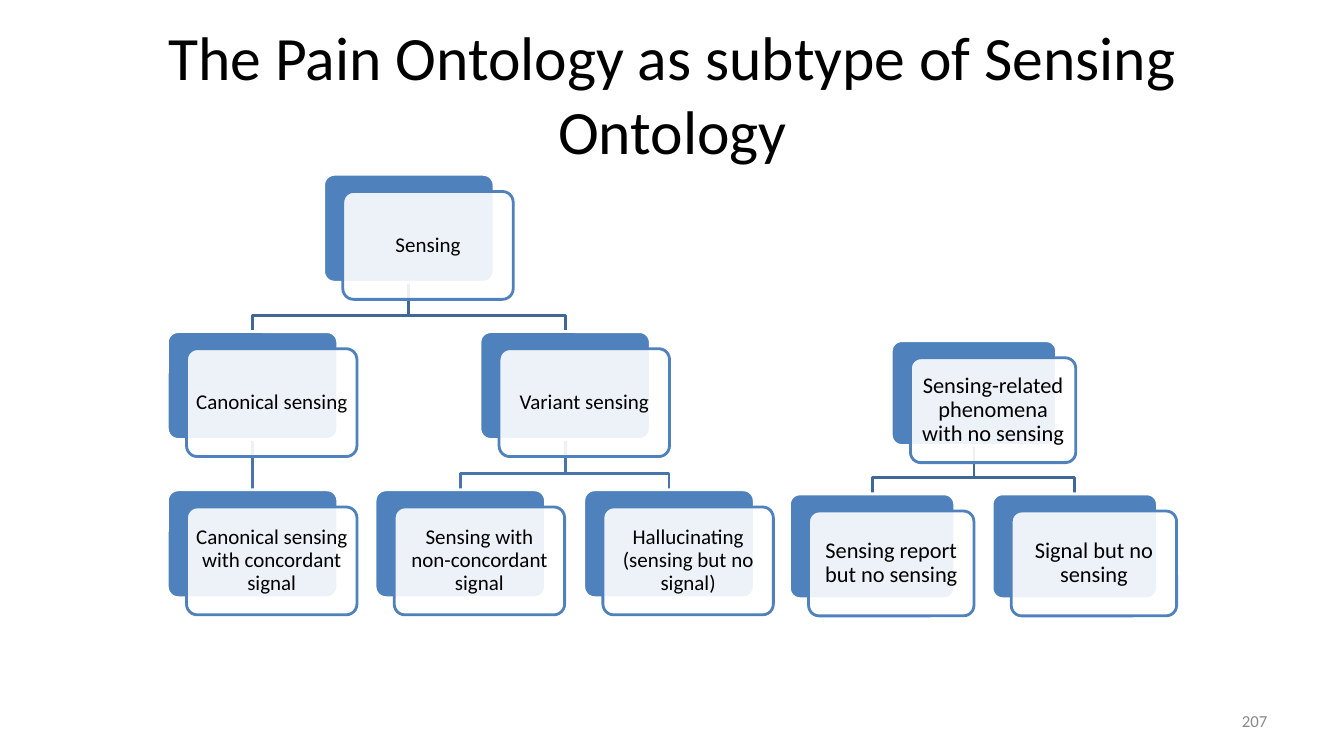
from lxml import etree
from pptx import Presentation
from pptx import util as u
from pptx.dml.color import RGBColor
from pptx.enum import shapes, text
from pptx.oxml.ns import qn

COLORS = {
    "black": "000000",
    "white": "FFFFFF",
    "gray": "898989",
    "blue": "4F81BD",
    "upper_branch": "3F6797",
    "lower_branch": "4875AC",
}

# Each node: name -> (left, top, label)
SENSING_NODES = {
    "sensing": (3.21, 1.73, "Sensing"),
    "canonical": (1.66, 3.29, "Canonical sensing"),
    "concordant": (1.66, 4.86, "Canonical sensing with concordant signal"),
    "variant": (4.76, 3.29, "Variant sensing"),
    "non_concordant": (3.72, 4.86, "Sensing with non-concordant signal"),
    "hallucinating": (5.79, 4.86, "Hallucinating (sensing but no signal)"),
}
SENSING_BRANCHES = [
    ("variant", "hallucinating", "lower_branch"),
    ("variant", "non_concordant", "lower_branch"),
    ("sensing", "variant", "upper_branch"),
    ("canonical", "concordant", "lower_branch"),
    ("sensing", "canonical", "upper_branch"),
]
NO_SENSING_NODES = {
    "related": (8.84, 3.38, "Sensing-related phenomena with no sensing"),
    "report": (7.83, 4.9, "Sensing report but no sensing"),
    "signal": (9.84, 4.9, "Signal but no sensing"),
}
NO_SENSING_BRANCHES = [
    ("related", "signal", "upper_branch"),
    ("related", "report", "upper_branch"),
]


class OntologySlide:
    font = "Calibri"
    line_width = u.Pt(2)
    card_offset = (0.19, 0.17)
    bend_gap = 0.16

    def __init__(self, slide):
        self.slide = slide

    def color(self, name):
        return RGBColor.from_string(COLORS[name])

    def set_text(self, shape, words, size, color, align, inset=None):
        frame = shape.text_frame
        frame.word_wrap = True
        frame.vertical_anchor = text.MSO_ANCHOR.MIDDLE
        if inset is not None:
            frame.margin_left = frame.margin_right = u.Inches(inset)
            frame.margin_top = frame.margin_bottom = u.Inches(inset)
        frame.text = words
        paragraph = frame.paragraphs[0]
        paragraph.alignment = align
        font = paragraph.runs[0].font
        font.name, font.size = self.font, u.Pt(size)
        font.color.rgb = self.color(color)
        return paragraph

    def label(self, box, words, size, color, align):
        shape = self.slide.shapes.add_textbox(*map(u.Inches, box))
        self.set_text(shape, words, size, color, align)

    def outline(self, shape, color):
        shape.line.color.rgb = self.color(color)
        shape.line.width = self.line_width

    def rounded(self, box, fill, line):
        shape = self.slide.shapes.add_shape(
            shapes.MSO_SHAPE.ROUNDED_RECTANGLE, *map(u.Inches, box))
        shape.adjustments[0] = 0.1
        shape.shadow.inherit = False
        shape.fill.solid()
        shape.fill.fore_color.rgb = self.color(fill)
        self.outline(shape, line)
        return shape

    def node(self, left, top, size, words, points, inset):
        """Draw a blue card with a translucent, labelled card in front."""
        self.rounded((left, top, *size), "blue", "white")
        right, down = self.card_offset
        front = self.rounded((left + right, top + down, *size), "white", "blue")
        fill_color = front._element.spPr.find(qn("a:solidFill"))[0]
        etree.SubElement(fill_color, qn("a:alpha"), val="90000")
        paragraph = self.set_text(front, words, points, "black",
                                  text.PP_ALIGN.CENTER, inset)
        paragraph.line_spacing = 0.9

    def branch(self, start, end, color):
        """Join two points, with a bend when they are not in one column."""
        (x1, y1), (x2, y2) = start, end
        if x1 == x2:
            line = self.slide.shapes.add_connector(
                shapes.MSO_CONNECTOR.STRAIGHT, *map(u.Inches, (x1, y1, x2, y2)))
            etree.SubElement(line._element.spPr, qn("a:effectLst"))
        else:
            bend = y2 - self.bend_gap
            builder = self.slide.shapes.build_freeform(u.Inches(x1), u.Inches(y1))
            builder.add_line_segments(
                [(u.Inches(x), u.Inches(y))
                 for x, y in ((x1, bend), (x2, bend), (x2, y2))], close=False)
            line = builder.convert_to_shape()
            line.fill.background()
            line.shadow.inherit = False
        self.outline(line, color)

    def tree(self, nodes, branches, size, points, inset):
        width, height = size
        for parent, child, color in branches:
            parent_left, parent_top, _ = nodes[parent]
            child_left, child_top, _ = nodes[child]
            self.branch((parent_left + width / 2, parent_top + height),
                        (child_left + width / 2, child_top), color)
        for left, top, words in nodes.values():
            self.node(left, top, size, words, points, inset)


def main():
    presentation = Presentation()
    presentation.slide_width = u.Inches(13.33)
    presentation.slide_height = u.Inches(7.5)
    slide = presentation.slides.add_slide(presentation.slide_layouts[6])

    ontology = OntologySlide(slide)
    ontology.label((0.67, 0.3, 12, 1.25),
                   "The Pain Ontology as subtype of Sensing Ontology",
                   44, "black", text.PP_ALIGN.CENTER)
    ontology.tree(SENSING_NODES, SENSING_BRANCHES, (1.69, 1.07), 15, 0.06)
    ontology.tree(NO_SENSING_NODES, NO_SENSING_BRANCHES, (1.64, 1.04), 16, 0.07)
    ontology.label((9.56, 6.95, 3.11, 0.4), "207", 12, "gray",
                   text.PP_ALIGN.RIGHT)

    presentation.save("out.pptx")


if __name__ == "__main__":
    main()
